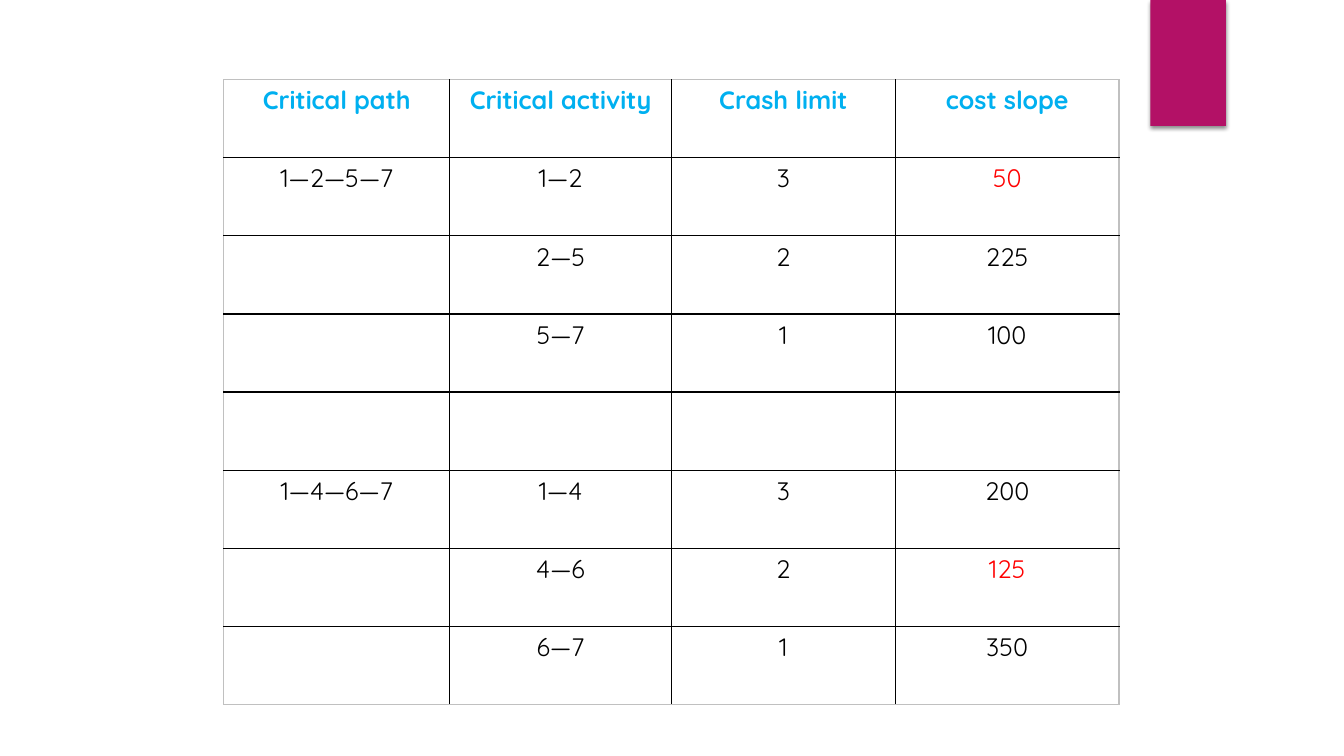
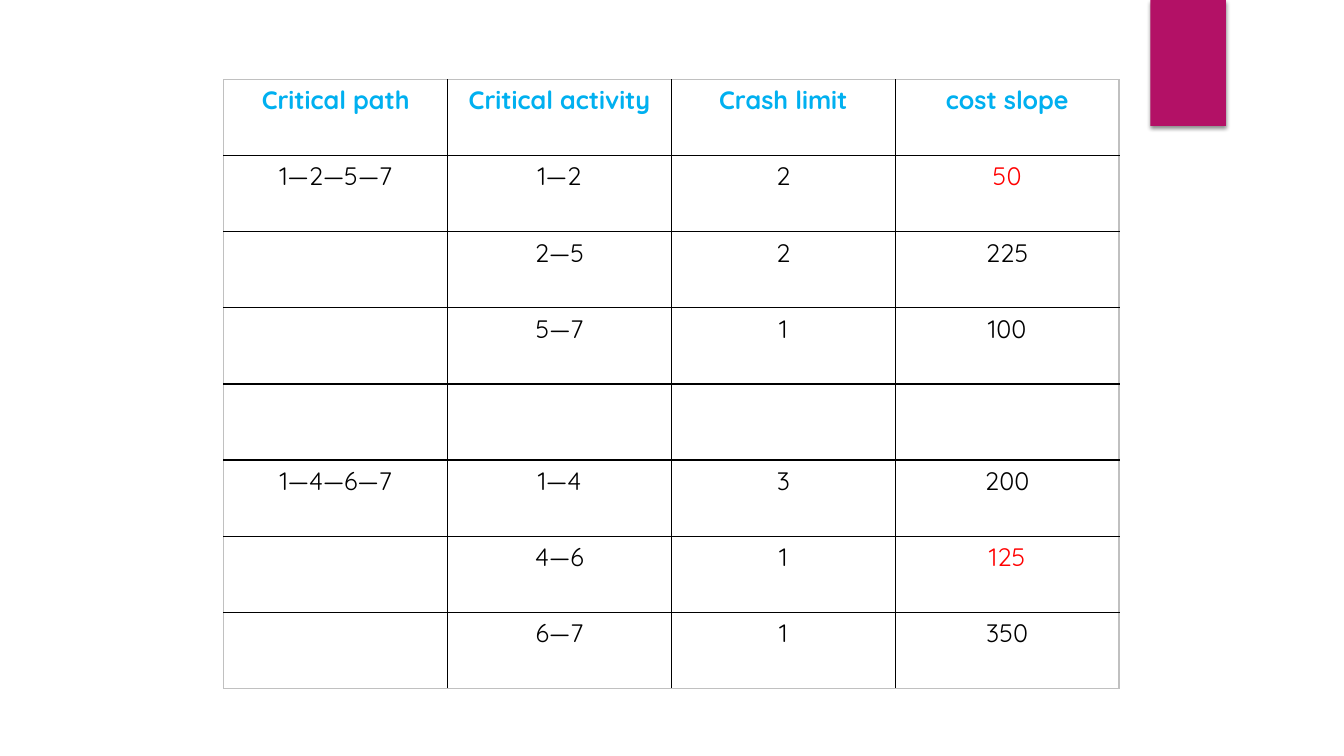
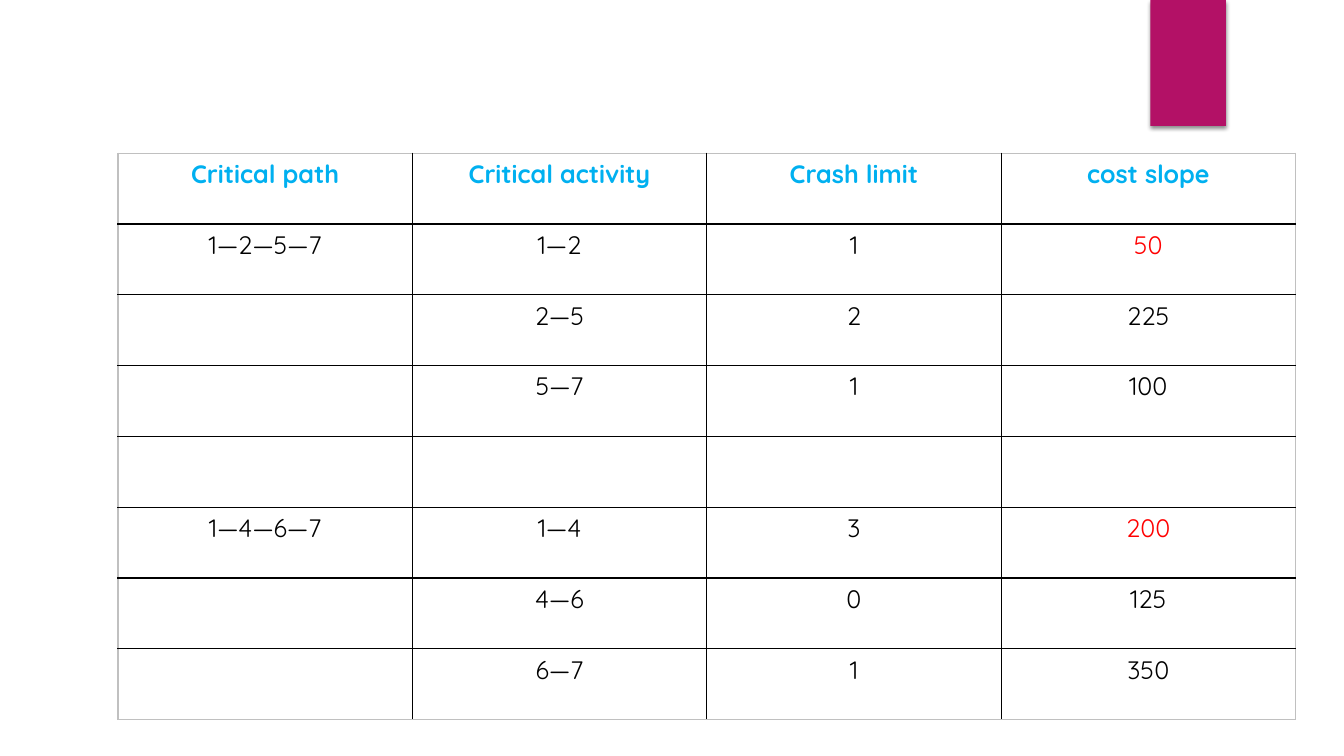
from lxml import etree
from pptx import Presentation
from pptx import util as u
from pptx.dml.color import RGBColor
from pptx.enum import shapes, text
from pptx.oxml import ns

FONT = "Quicksand"
BLACK, RED, BLUE, MAGENTA, GREY = "000000", "FF0000", "00B0F0", "B31166", "C0C0C0"
HEADERS = ["Critical path", "Critical activity", "Crash limit", "cost slope"]
# Path (named on its first activity), activity, cost slope
ACTIVITIES = [
    ("1—2—5—7", "1—2", "50"),
    ("", "2—5", "225"),
    ("", "5—7", "100"),
    ("", "", ""),
    ("1—4—6—7", "1—4", "200"),
    ("", "4—6", "125"),
    ("", "6—7", "350"),
]
# Table box, column widths, crash limits, cheapest activities
STEPS = [
    ((2.22, 0.79, 8.88, 6.2), (2.24, 2.2, 2.22, 2.22),
     ("3", "2", "1", "", "3", "2", "1"), ("1—2", "4—6")),
    ((2.22, 0.79, 8.88, 6.04), (2.22,) * 4,
     ("2", "2", "1", "", "3", "1", "1"), ("1—2", "4—6")),
    ((1.17, 1.52, 11.67, 5.62), (2.92,) * 4,
     ("1", "2", "1", "", "3", "0", "1"), ("1—2", "1—4")),
]


def rgb(color):
    return RGBColor.from_string(color)


def sub(parent, tag, **attrs):
    return etree.SubElement(parent, ns.qn(tag), {k: str(v) for k, v in attrs.items()})


def write(tf, words, size=18, color=BLACK, bold=False, align=text.PP_ALIGN.CENTER):
    p = tf.paragraphs[0]
    p.alignment = align
    r = p.add_run()
    r.text = words
    r.font.name, r.font.size, r.font.bold = FONT, u.Pt(size), bold
    r.font.color.rgb = rgb(color)


def add_corner_band(slide):
    """Draw the band and move it to the layout, so that every slide shows it."""
    sp = slide.shapes.add_shape(shapes.MSO_SHAPE.RECTANGLE, u.Inches(11.41), 0,
                                u.Inches(0.75), u.Inches(1.25))
    sp.fill.solid()
    sp.fill.fore_color.rgb = rgb(MAGENTA)
    sp.line.fill.background()
    sp.shadow.inherit = False
    effects = sp.element.spPr.find(ns.qn("a:effectLst"))
    shadow = sub(effects, "a:outerShdw", blurRad=u.Pt(3), dist=u.Pt(2),
                 dir=90 * 60000, rotWithShape=0)
    sub(sub(shadow, "a:srgbClr", val=BLACK), "a:alpha", val=45000)
    slide.slide_layout.shapes.element.append(sp.element)


def set_borders(cell, outer):
    """Black lines between cells, grey ones on the sides named in outer."""
    tc_pr = cell._tc.get_or_add_tcPr()
    for side in "LRTB":
        ln = sub(tc_pr, f"a:ln{side}", w=u.Pt(1))
        color = GREY if side in outer else BLACK
        sub(sub(ln, "a:solidFill"), "a:srgbClr", val=color)


def outer_sides(row, col, n_rows, n_cols):
    edges = {"L": col == 0, "R": col == n_cols - 1,
             "T": row == 0, "B": row == n_rows - 1}
    return [side for side, is_outer in edges.items() if is_outer]


def add_crash_table(slide, box, widths, limits, cheapest):
    rows = [[(h, BLUE) for h in HEADERS]]
    for (path_name, activity, slope), limit in zip(ACTIVITIES, limits):
        slope_color = RED if activity in cheapest else BLACK
        rows.append([(path_name, BLACK), (activity, BLACK),
                     (limit, BLACK), (slope, slope_color)])
    n_rows, n_cols = len(rows), len(HEADERS)
    table = slide.shapes.add_table(n_rows, n_cols, *map(u.Inches, box)).table
    table.first_row = table.horz_banding = False
    for column, width in zip(table.columns, widths):
        column.width = u.Inches(width)
    for i, row in enumerate(rows):
        table.rows[i].height = u.Inches(box[3] / n_rows)
        for j, (words, color) in enumerate(row):
            cell = table.cell(i, j)
            set_borders(cell, outer_sides(i, j, n_rows, n_cols))
            cell.fill.background()
            if words:
                write(cell.text_frame, words, color=color, bold=i == 0)


def main():
    prs = Presentation()
    prs.slide_width, prs.slide_height = u.Inches(13.33), u.Inches(7.5)
    blank = prs.slide_layouts[6]
    for step in STEPS:
        add_crash_table(prs.slides.add_slide(blank), *step)
    add_corner_band(prs.slides[0])
    prs.save("out.pptx")


if __name__ == "__main__":
    main()
